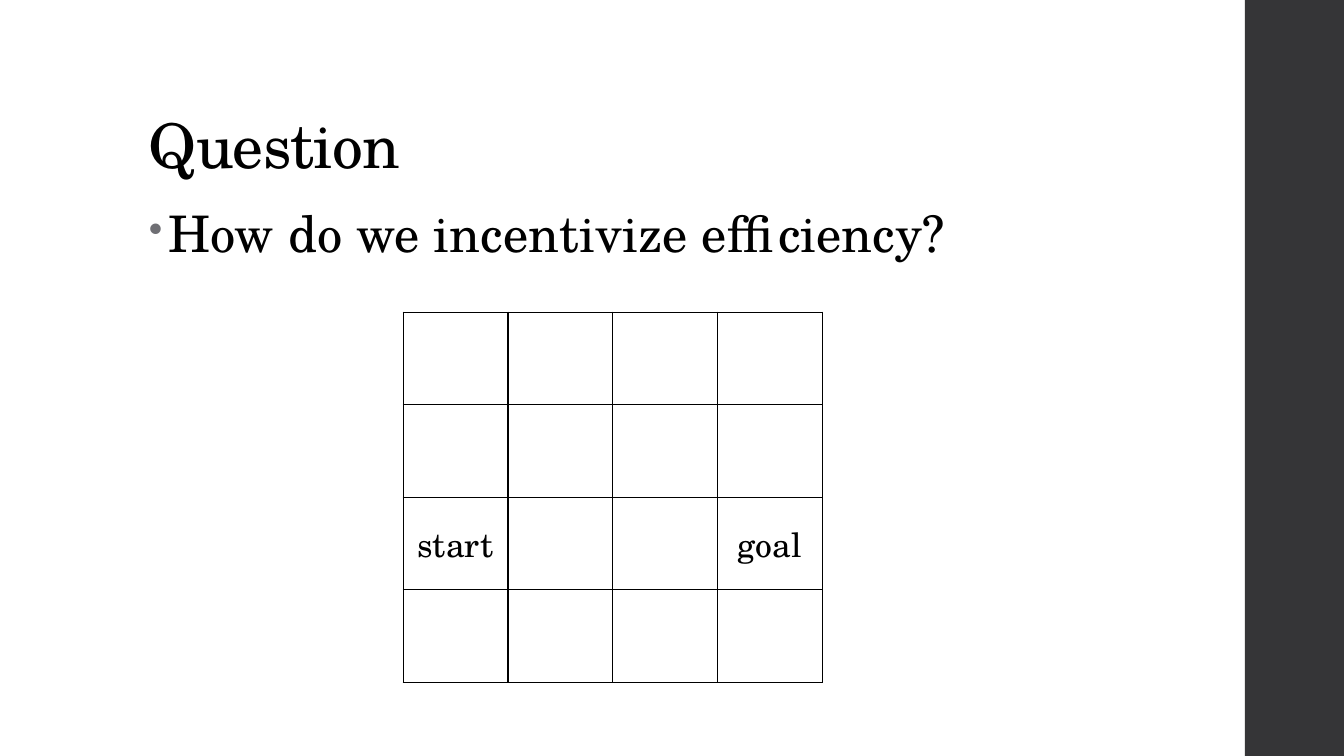
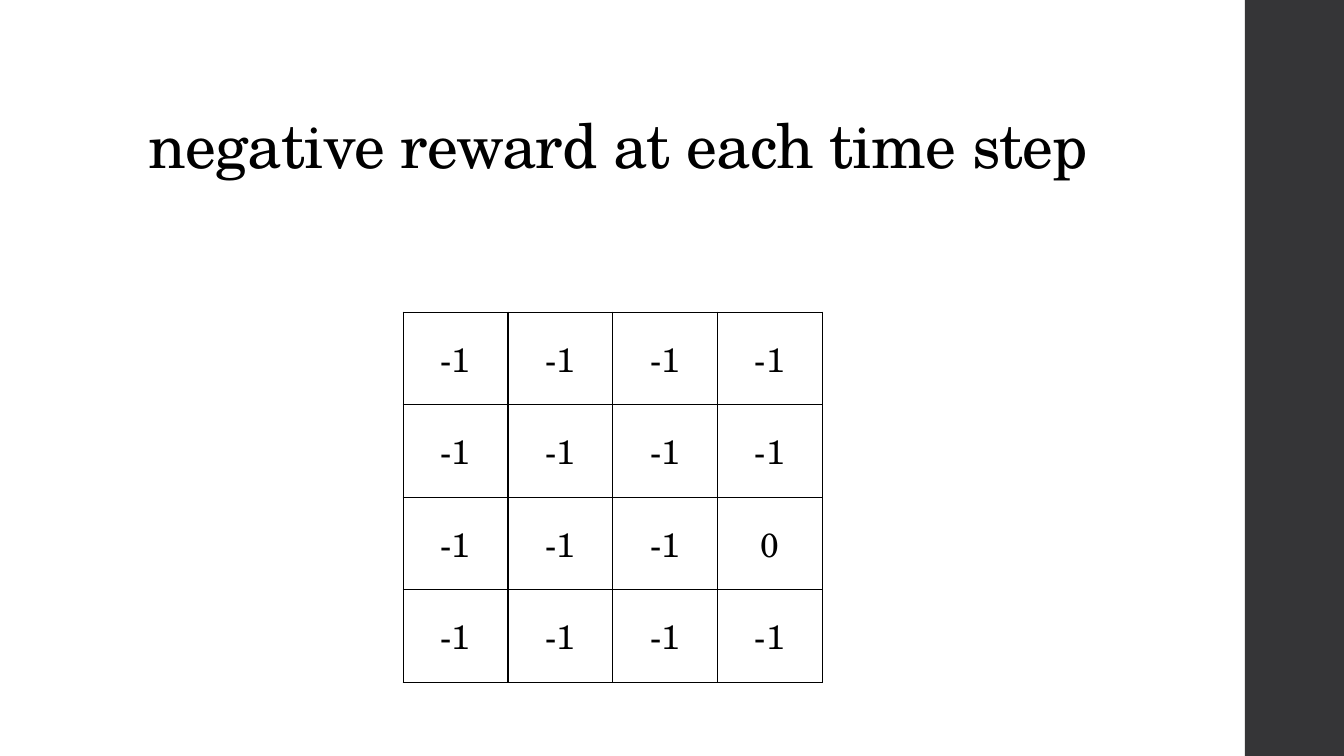
import pptx
import pptx.util
import pptx.dml.color
import pptx.enum.shapes
import pptx.enum.text
import pptx.oxml
import pptx.oxml.ns
from dataclasses import dataclass

Cm = pptx.util.Cm
Pt = pptx.util.Pt
RGB = pptx.dml.color.RGBColor.from_string
PP_ALIGN = pptx.enum.text.PP_ALIGN
MSO_ANCHOR = pptx.enum.text.MSO_ANCHOR


@dataclass(frozen=True)
class Theme:
    font: str = "TeX Gyre Schola"
    paper: str = "FFFFFF"
    ink: str = "000000"
    band: str = "353537"
    bullet: str = "6F6F74"
    title_size: int = 44
    body_size: int = 36
    cell_size: int = 24
    border_width: int = 1


theme = Theme()


def write_text(tf, text, size, anchor=MSO_ANCHOR.TOP, align=PP_ALIGN.LEFT,
               line_spacing=1.0, tracking=0, bullet=False):
    tf.word_wrap = True
    tf.vertical_anchor = anchor
    p = tf.paragraphs[0]
    p.alignment = align
    p.line_spacing = line_spacing
    if bullet:
        pPr = p._p.get_or_add_pPr()
        pPr.set("marL", str(Cm(0.5)))
        pPr.set("indent", str(-Cm(0.5)))
        for xml in (f'<a:buClr {ns}><a:srgbClr val="{theme.bullet}"/></a:buClr>',
                    f'<a:buSzPct {ns} val="80000"/>',
                    f'<a:buChar {ns} char="•"/>'):
            pPr.append(pptx.oxml.parse_xml(xml))
    r = p.add_run()
    r.text = text
    r.font.name = theme.font
    r.font.size = Pt(size)
    r.font.color.rgb = RGB(theme.ink)
    if tracking:
        r._r.get_or_add_rPr().set("spc", str(tracking))


def add_grid(s, values):
    rows, cols = len(values), len(values[0])
    col_width, row_height = Cm(2.64), Cm(2.33)
    tbl = s.shapes.add_table(rows, cols, Cm(10.16), Cm(7.87),
                             col_width * cols, row_height * rows).table
    tbl.first_row = False
    tbl.horz_banding = False
    for col in tbl.columns:
        col.width = col_width
    for row, row_values in zip(tbl.rows, values):
        row.height = row_height
        for cell, value in zip(row.cells, row_values):
            tcPr = cell._tc.get_or_add_tcPr()
            for side in ("lnL", "lnR", "lnT", "lnB"):
                tcPr.append(pptx.oxml.parse_xml(
                    f'<a:{side} {ns} w="{Pt(theme.border_width)}"><a:solidFill>'
                    f'<a:srgbClr val="{theme.ink}"/></a:solidFill></a:{side}>'))
            cell.fill.solid()
            cell.fill.fore_color.rgb = RGB(theme.paper)
            cell.vertical_anchor = MSO_ANCHOR.MIDDLE
            if value:
                write_text(cell.text_frame, value, theme.cell_size,
                           anchor=None, align=PP_ALIGN.CENTER)


ns = pptx.oxml.ns.nsdecls("a")
prs = pptx.Presentation()
prs.slide_width = Cm(33.87)
prs.slide_height = Cm(19.05)

places = [[""] * 4 for _ in range(4)]
places[2][0] = "start"
places[2][3] = "goal"

rewards = [["-1"] * 4 for _ in range(4)]
rewards[2][3] = "0"

slides = [
    ("Question", "How do we incentivize efficiency?", places),
    ("negative reward at each time step", None, rewards),
]

left, width = Cm(3.5), Cm(26.92)
band_left = Cm(31.37)

for title, question, values in slides:
    s = prs.slides.add_slide(prs.slide_layouts[6])
    s.background.fill.solid()
    s.background.fill.fore_color.rgb = RGB(theme.paper)

    sp = s.shapes.add_shape(pptx.enum.shapes.MSO_SHAPE.RECTANGLE, band_left, 0,
                            prs.slide_width - band_left, prs.slide_height)
    sp.shadow.inherit = False
    sp.fill.solid()
    sp.fill.fore_color.rgb = RGB(theme.band)
    sp.line.fill.background()

    sp = s.shapes.add_textbox(left, Cm(1.02), width, Cm(3.68))
    write_text(sp.text_frame, title, theme.title_size, anchor=MSO_ANCHOR.BOTTOM,
               line_spacing=0.9, tracking=-50)

    if question:
        sp = s.shapes.add_textbox(left, Cm(5.08), width, Cm(2.2))
        write_text(sp.text_frame, question, theme.body_size,
                   line_spacing=0.95, tracking=10, bullet=True)

    add_grid(s, values)

prs.save("out.pptx")
